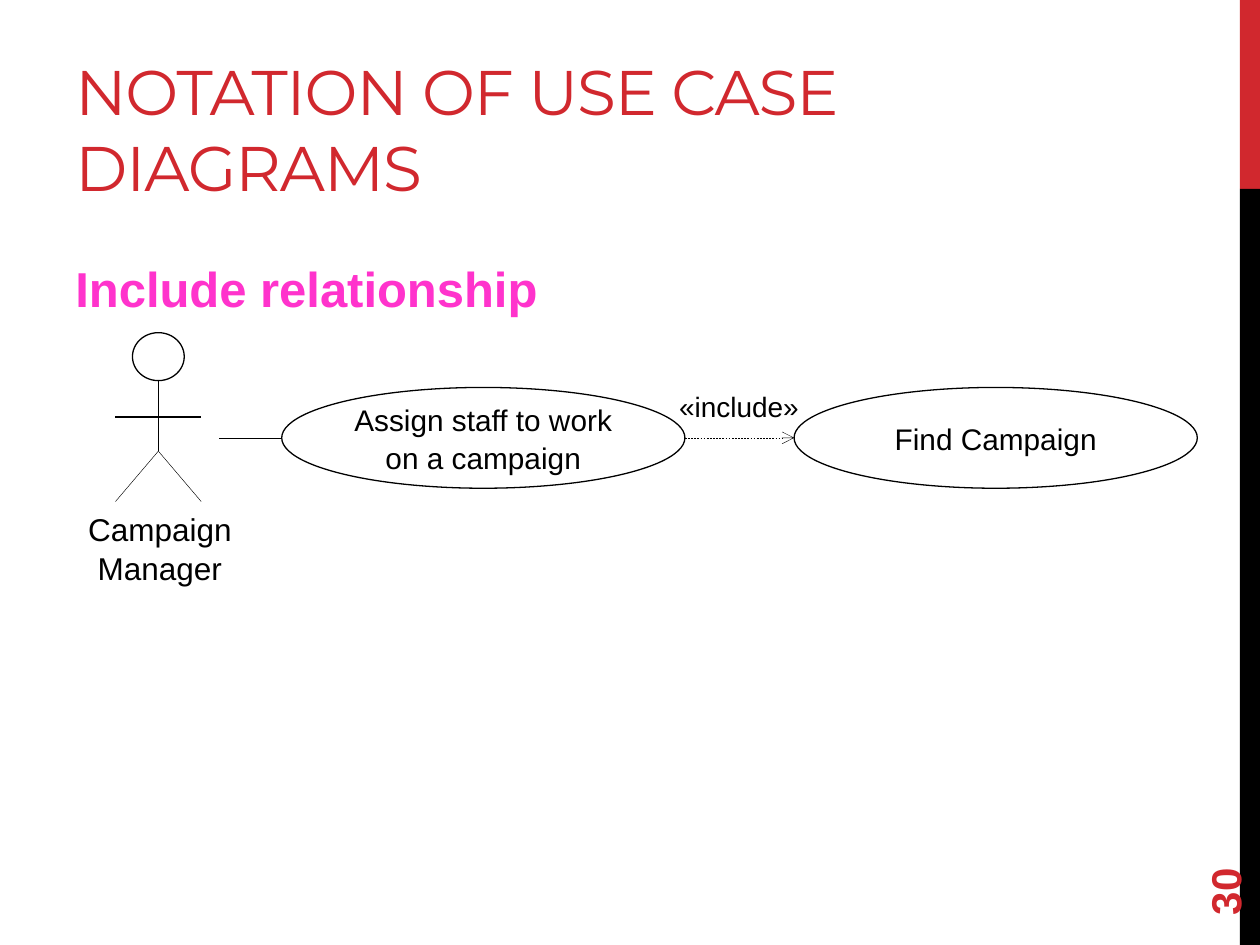
import pptx
import pptx.util
import pptx.dml.color
import pptx.enum.dml
import pptx.enum.shapes
import pptx.enum.text
import pptx.oxml.ns
import lxml.etree

Pt = pptx.util.Pt
ALIGN = pptx.enum.text.PP_ALIGN
ANCHOR = pptx.enum.text.MSO_ANCHOR
SHAPE = pptx.enum.shapes.MSO_SHAPE
RED, BLACK, WHITE, PINK = "D1282E", "000000", "FFFFFF", "FF33CC"
OVAL_WIDTH, OVAL_HEIGHT = 230.4, 57.6


def paint(color_owner, hex_color):
    if hasattr(color_owner, "solid"):
        color_owner.solid()
        color_owner.fore_color.rgb = pptx.dml.color.RGBColor.from_string(hex_color)
    else:
        color_owner.color.rgb = pptx.dml.color.RGBColor.from_string(hex_color)


def write(holder, text, size=18, font="Arial", color=BLACK, bold=False,
          align=ALIGN.LEFT, anchor=ANCHOR.TOP, inset=None, line_spacing=None,
          before=0, after=0, tracking=None):
    frame = holder.text_frame
    frame.word_wrap = True
    frame.vertical_anchor = anchor
    if inset is not None:
        frame.margin_left = frame.margin_right = Pt(inset)
        frame.margin_top = frame.margin_bottom = Pt(inset)
    paragraph = frame.paragraphs[0]
    paragraph.alignment = align
    paragraph.space_before, paragraph.space_after = Pt(before), Pt(after)
    if line_spacing:
        paragraph.line_spacing = line_spacing
    run = paragraph.add_run()
    run.text = text
    run.font.size, run.font.name, run.font.bold = Pt(size), font, bold
    paint(run.font, color)
    if tracking is not None:
        run.font._element.set("spc", str(round(tracking * 100)))


def add_label(shapes, text, left, top, width, height, rotation=0, **text_format):
    label = shapes.add_textbox(Pt(left), Pt(top), Pt(width), Pt(height))
    label.rotation = rotation
    write(label, text, **text_format)


def add_block(shapes, kind, left, top, width, height, fill, outline=None):
    block = shapes.add_shape(kind, Pt(left), Pt(top), Pt(width), Pt(height))
    block.shadow.inherit = False
    paint(block.fill, fill)
    if outline:
        paint(block.line, outline)
        block.line.width = Pt(0.75)
    else:
        block.line.fill.background()
    return block


def add_link(shapes, start, end, weight=0.25, dashed_arrow=False):
    link = shapes.add_connector(pptx.enum.shapes.MSO_CONNECTOR.STRAIGHT,
                                *[Pt(value) for value in (*start, *end)])
    paint(link.line, BLACK)
    link.line.width = Pt(weight)
    qn = pptx.oxml.ns.qn
    if dashed_arrow:
        link.line.dash_style = pptx.enum.dml.MSO_LINE.DASH
        lxml.etree.SubElement(link.line._get_or_add_ln(), qn("a:tailEnd"), type="arrow")
    lxml.etree.SubElement(link._element.spPr, qn("a:effectLst"))


def add_actor(shapes, center, head_top):
    actor = shapes.add_group_shape().shapes
    neck, arms, hips, feet = (head_top + drop for drop in (27.4, 48.2, 67.7, 96.5))
    reach = 24.5
    add_block(actor, SHAPE.OVAL, center - 14.8, head_top, 29.6, 27.4, WHITE, BLACK)
    add_link(actor, (center - reach, arms), (center + reach, arms), weight=1)
    add_link(actor, (center, neck), (center, hips))
    for side in (-reach, reach):
        add_link(actor, (center, hips), (center + side, feet))


def add_use_case(shapes, text, left, top):
    use_case = add_block(shapes, SHAPE.OVAL, left, top, OVAL_WIDTH, OVAL_HEIGHT, WHITE, BLACK)
    write(use_case, text, size=17, align=ALIGN.CENTER, anchor=ANCHOR.MIDDLE,
          line_spacing=1.05)


def main():
    deck = pptx.Presentation()
    deck.slide_width, deck.slide_height = Pt(720), Pt(540)
    shapes = deck.slides.add_slide(deck.slide_layouts[6]).shapes

    add_block(shapes, SHAPE.RECTANGLE, 708.5, 0, 11.5, 108, RED)
    add_block(shapes, SHAPE.RECTANGLE, 708.5, 108, 11.5, 432, BLACK)
    add_label(shapes, "NOTATION OF USE CASE DIAGRAMS", 36, 12, 576, 108, size=36,
              font="Montserrat", color=RED, anchor=ANCHOR.BOTTOM, tracking=-0.6)
    add_label(shapes, "Include relationship", 36, 144, 648, 45, size=28,
              color=PINK, bold=True, before=3, after=6)
    add_label(shapes, "30", 648, 463.7, 103.7, 28.8, rotation=270, size=24,
              color=RED, bold=True, anchor=ANCHOR.MIDDLE)

    add_actor(shapes, center=90.5, head_top=190.1)
    add_label(shapes, "Campaign Manager", 33.8, 286.6, 115.2, 51,
              align=ALIGN.CENTER, line_spacing=1.05)

    assign_left, find_left, oval_top = 161, 453.8, 221.4
    middle = oval_top + OVAL_HEIGHT / 2
    add_use_case(shapes, "Assign staff to work on a campaign", assign_left, oval_top)
    add_use_case(shapes, "Find Campaign", find_left, oval_top)
    add_link(shapes, (assign_left + OVAL_WIDTH, middle), (find_left, middle),
             dashed_arrow=True)
    add_link(shapes, (125.3, middle), (assign_left, middle))
    add_label(shapes, "«include»", 385.2, 221.8, 74.2, 19.4, size=16,
              align=ALIGN.CENTER, inset=0, line_spacing=1.05)

    deck.save("out.pptx")


if __name__ == "__main__":
    main()
